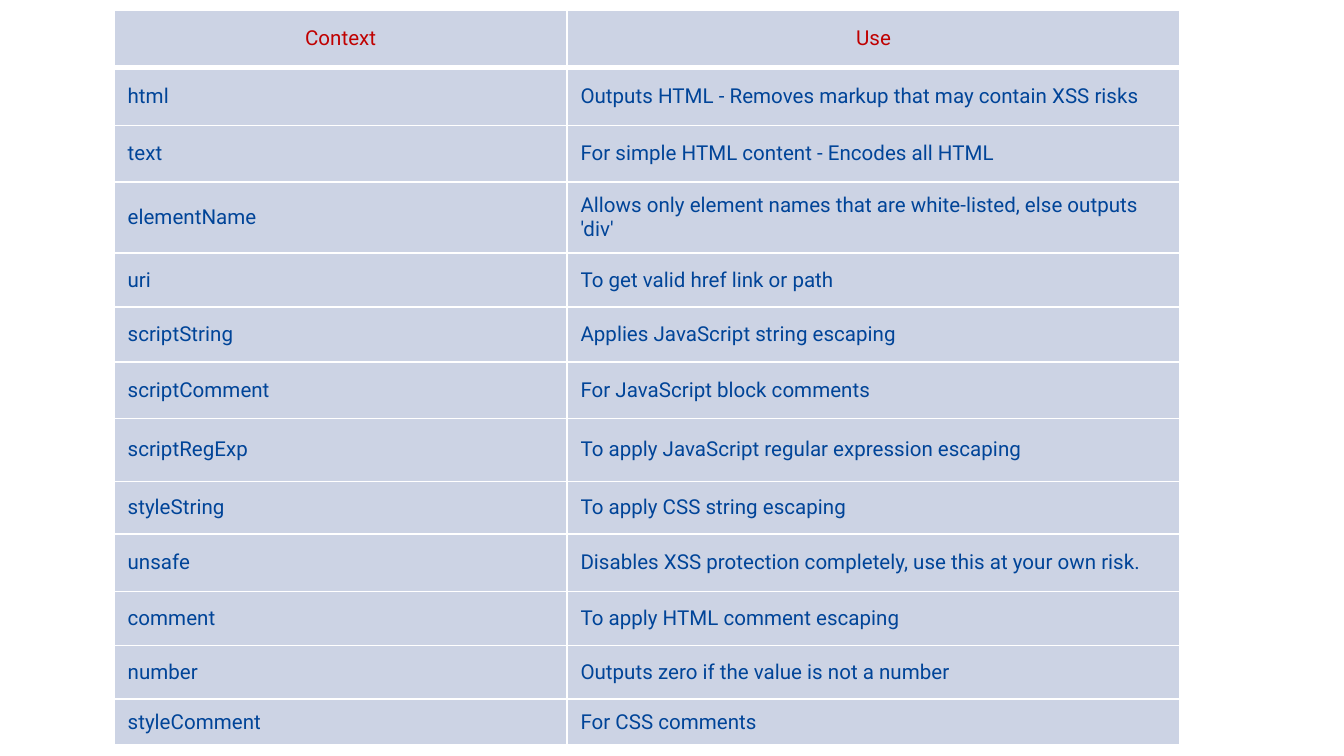
import lxml.etree
import pptx
import pptx.dml.color
import pptx.enum.text
import pptx.oxml.ns
import pptx.util

Pt = pptx.util.Pt
qn = pptx.oxml.ns.qn

COLS = [242.6, 328.4]
HEIGHTS = [31, 31, 30.2, 38.2, 28.8, 29.5, 30.2, 33.8, 28.1, 31, 28.8, 28.8, 24.5]
ROWS = [
    ("Context", "Use"),
    ("html", "Outputs HTML - Removes markup that may contain XSS risks"),
    ("text", "For simple HTML content - Encodes all HTML"),
    ("elementName", "Allows only element names that are white-listed, else outputs 'div'"),
    ("uri", "To get valid href link or path"),
    ("scriptString", "Applies JavaScript string escaping"),
    ("scriptComment", "For JavaScript block comments"),
    ("scriptRegExp", "To apply JavaScript regular expression escaping"),
    ("styleString", "To apply CSS string escaping"),
    ("unsafe", "Disables XSS protection completely, use this at your own risk."),
    ("comment", "To apply HTML comment escaping"),
    ("number", "Outputs zero if the value is not a number"),
    ("styleComment", "For CSS comments"),
]


def color(code):
    return pptx.dml.color.RGBColor.from_string(code)


def border(cell, side, width):
    props = cell._tc.get_or_add_tcPr()
    line = lxml.etree.SubElement(props, qn("a:" + side), w=str(Pt(width)))
    fill = lxml.etree.SubElement(line, qn("a:solidFill"))
    lxml.etree.SubElement(fill, qn("a:srgbClr"), val="FFFFFF")


def tint(cell, code, percent):
    cell.fill.solid()
    cell.fill.fore_color.rgb = color(code)
    tone = cell._tc.tcPr.find(".//" + qn("a:solidFill") + "[last()]")
    tone = cell._tc.tcPr.find(qn("a:solidFill")).find(qn("a:srgbClr"))
    lxml.etree.SubElement(tone, qn("a:alpha"), val=str(percent * 1000))


def write(cell, text, head):
    cell.vertical_anchor = pptx.enum.text.MSO_ANCHOR.MIDDLE
    cell.text_frame.text = text
    para = cell.text_frame.paragraphs[0]
    align = pptx.enum.text.PP_ALIGN
    para.alignment = align.CENTER if head else align.LEFT
    font = para.runs[0].font
    font.name = "Roboto"
    font.size = Pt(11)
    font.bold = False
    font.color.rgb = color("C00000" if head else "004498")


def grid(slide, left, top):
    frame = slide.shapes.add_table(
        len(ROWS), len(COLS), Pt(left), Pt(top), Pt(sum(COLS)), Pt(sum(HEIGHTS)))
    table = frame.table
    table.first_row = False
    table.horz_banding = False
    for col, width in zip(table.columns, COLS):
        col.width = Pt(width)
    for i, (row, height) in enumerate(zip(table.rows, HEIGHTS)):
        row.height = Pt(height)
        for cell, text in zip(row.cells, ROWS[i]):
            # A thick rule parts the header from the body
            border(cell, "lnL", 1)
            border(cell, "lnR", 1)
            border(cell, "lnT", 3 if i == 1 else 1)
            border(cell, "lnB", 3 if i == 0 else 1)
            tint(cell, "002678", 20)
            write(cell, text, i == 0)


def main():
    deck = pptx.Presentation()
    deck.slide_width = Pt(720)
    deck.slide_height = Pt(405)
    slide = deck.slides.add_slide(deck.slide_layouts[6])

    # Table of contexts
    grid(slide, 61.2, 5.3)

    deck.save("out.pptx")


if __name__ == "__main__":
    main()
